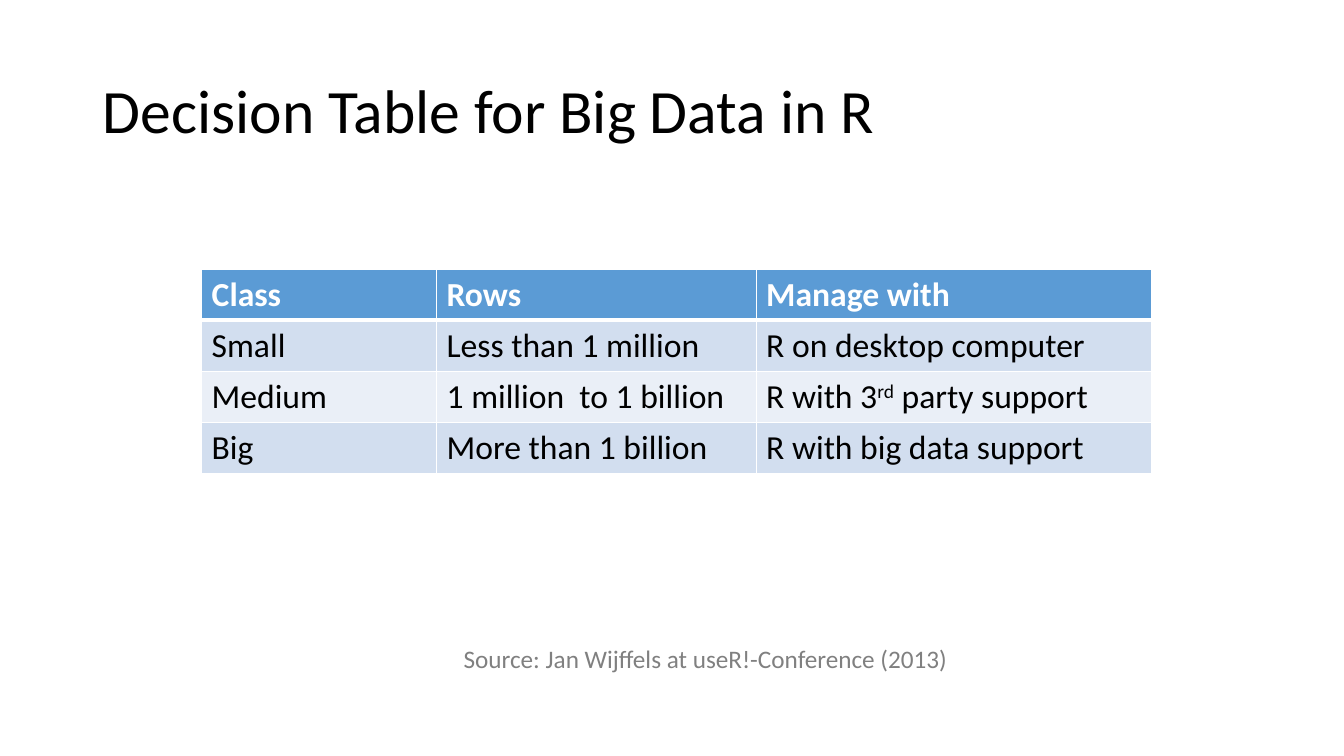
from lxml import etree
from pptx import Presentation
from pptx.dml.color import RGBColor
from pptx.enum.text import MSO_ANCHOR, PP_ALIGN
from pptx.oxml.ns import qn
from pptx.util import Inches, Pt

LEFT = PP_ALIGN.LEFT
MIDDLE = MSO_ANCHOR.MIDDLE

BLACK = RGBColor(0x00, 0x00, 0x00)
WHITE = RGBColor(0xFF, 0xFF, 0xFF)
GRAY = RGBColor(0x80, 0x80, 0x80)
BLUE = RGBColor(0x5B, 0x9B, 0xD5)
BANDS = (RGBColor(0xEA, 0xEF, 0xF7), RGBColor(0xD2, 0xDE, 0xEF))

FONT = "Calibri"
COLS = (2.33, 3.17, 3.92)
# A cell is a list of runs when part of it is raised; odd runs are raised
ROWS = (
    ("Class", "Rows", "Manage with"),
    ("Small", "Less than 1 million", "R on desktop computer"),
    ("Medium", "1 million  to 1 billion", ["R with 3", "rd", " party support"]),
    ("Big", "More than 1 billion", "R with big data support"),
)


def write(frame, text, size=24, color=BLACK, bold=False, space=None):
    para = frame.paragraphs[0]
    para.alignment = LEFT
    para.line_spacing = space
    parts = [text] if isinstance(text, str) else text
    for i, part in enumerate(parts):
        run = para.add_run()
        run.text = part
        font = run.font
        font.name, font.size, font.bold = FONT, Pt(size), bold
        font.color.rgb = color
        if i % 2:
            run._r.get_or_add_rPr().set("baseline", "30000")


def edge(cell, side, width):
    props = cell._tc.get_or_add_tcPr()
    line = etree.SubElement(props, qn(f"a:ln{side}"), w=str(Pt(width)))
    fill = etree.SubElement(line, qn("a:solidFill"))
    etree.SubElement(fill, qn("a:srgbClr"), val=str(WHITE))


def add_title(slide, left, top, width, height):
    title = slide.shapes.title
    title.left, title.top = Inches(left), Inches(top)
    title.width, title.height = Inches(width), Inches(height)
    title.text_frame.vertical_anchor = MIDDLE
    write(title.text_frame, "Decision Table for Big Data in R", size=44, space=0.9)


def add_grid(slide, left, top, width, height):
    table = slide.shapes.add_table(
        len(ROWS), len(COLS), Inches(left), Inches(top),
        Inches(width), Inches(height)).table
    for col, share in zip(table.columns, COLS):
        col.width = Inches(width * share / sum(COLS))
    for r, row in enumerate(ROWS):
        head = r == 0
        for c, text in enumerate(row):
            cell = table.cell(r, c)
            # Borders go before the fill; the rule under the header is thick
            for side in "LRTB":
                thick = (r, side) in ((0, "B"), (1, "T"))
                edge(cell, side, 3 if thick else 1)
            cell.fill.solid()
            cell.fill.fore_color.rgb = BLUE if head else BANDS[r % 2]
            write(cell.text_frame, text, color=WHITE if head else BLACK, bold=head)


def add_source(slide, left, top, width, height):
    box = slide.shapes.add_textbox(
        Inches(left), Inches(top), Inches(width), Inches(height))
    box.text_frame.word_wrap = False
    write(box.text_frame, "Source: Jan Wijffels at useR!-Conference (2013)",
          size=18, color=GRAY)


def main():
    deck = Presentation()
    deck.slide_width, deck.slide_height = Inches(13.33), Inches(7.5)
    # Title-only layout
    slide = deck.slides.add_slide(deck.slide_layouts[5])
    add_title(slide, 0.92, 0.4, 11.5, 1.45)
    add_grid(slide, 2, 2.67, 9.42, 2)
    add_source(slide, 4.5, 6.33, 5.06, 0.4)
    deck.save("out.pptx")


if __name__ == "__main__":
    main()
